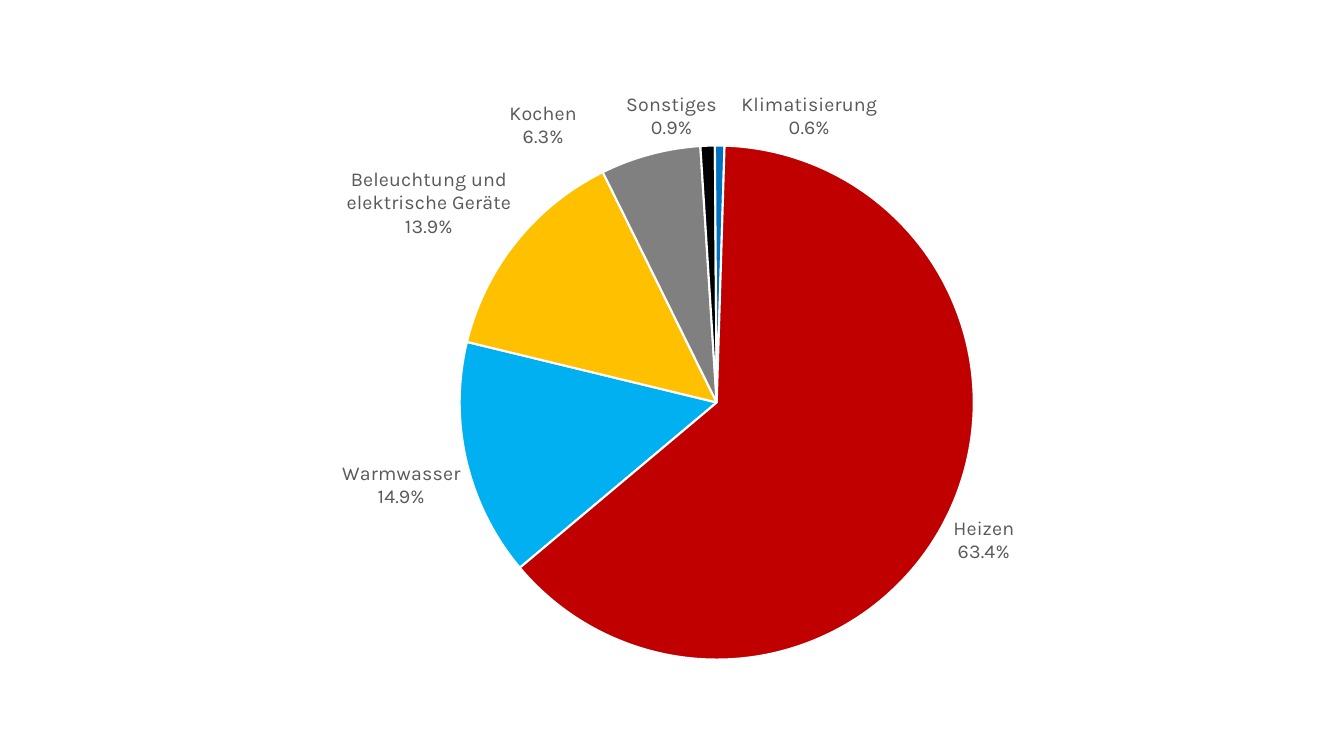
from copy import deepcopy

from lxml import etree
from pptx import Presentation
from pptx.chart.data import CategoryChartData
from pptx.dml.color import RGBColor
from pptx.enum.chart import XL_CHART_TYPE, XL_LABEL_POSITION
from pptx.oxml.ns import qn
from pptx.util import Pt

PIE = XL_CHART_TYPE.PIE
OUTSIDE = XL_LABEL_POSITION.OUTSIDE_END
FONT = "Karla"
START = 230

# Name, share in percent, colour, label shift as parts of the chart size
USES = [
    ("Warmwasser", 14.9, "00B0F0", None),
    ("Beleuchtung und elektrische Geräte", 13.9, "FFC000", None),
    ("Kochen", 6.3, "808080", (-0.08, 0)),
    ("Sonstiges", 0.9, "000000", (-0.04, 0)),
    ("Klimatisierung", 0.6, "0070C0", (0.1, 0)),
    ("Heizen", 63.4, "C00000", None),
]


def color(code):
    return RGBColor.from_string(code)


def layout(**parts):
    frame = etree.Element(qn("c:layout"))
    manual = etree.SubElement(frame, qn("c:manualLayout"))
    for key, val in parts.items():
        etree.SubElement(manual, qn("c:" + key), val=str(val))
    return frame


deck = Presentation()
deck.slide_width, deck.slide_height = Pt(960), Pt(540)
slide = deck.slides.add_slide(deck.slide_layouts[6])

# Pie chart
data = CategoryChartData()
data.categories = [use[0] for use in USES]
data.add_series("Series 1", [use[1] for use in USES])
chart = slide.shapes.add_chart(
    PIE, Pt(160), Pt(57), Pt(640), Pt(427), data).chart
chart.has_legend = False
chart.has_title = False
chart.font.name = FONT
chart.font.size = Pt(14)
chart.font.color.rgb = color("000000")
plot = chart.plots[0]
plot.vary_by_categories = True

# Place of the pie and angle of its first slice
area = plot._element.getparent()
for old in area.findall(qn("c:layout")):
    area.remove(old)
area.insert(0, layout(layoutTarget="inner", xMode="edge", yMode="edge",
                      x=0.26, y=0.11, w=0.58, h=0.86))
for old in plot._element.findall(qn("c:firstSliceAng")):
    plot._element.remove(old)
etree.SubElement(plot._element, qn("c:firstSliceAng"), val=str(START))

# Slices
row = plot.series[0]
for num, use in enumerate(USES):
    slice_ = row.points[num].format
    slice_.fill.solid()
    slice_.fill.fore_color.rgb = color(use[2])
    slice_.line.color.rgb = color("FFFFFF")
    slice_.line.width = Pt(1.5)

# Labels
labels = row.data_labels
labels.show_category_name = True
labels.show_percentage = True
labels.show_value = False
labels.number_format = "0.0%"
labels.number_format_is_linked = False
labels.position = OUTSIDE
labels.font.name = FONT
labels.font.size = Pt(14)
labels.font.color.rgb = color("595959")
root = labels._element
for old in root.findall(qn("c:showLeaderLines")):
    root.remove(old)
etree.SubElement(root, qn("c:separator")).text = "\n"
shared = list(root)
etree.SubElement(root, qn("c:showLeaderLines"), val="0")

# Shifted labels of the small slices
spot = 0
for num, use in enumerate(USES):
    if use[3]:
        label = etree.Element(qn("c:dLbl"))
        etree.SubElement(label, qn("c:idx"), val=str(num))
        label.append(layout(x=use[3][0], y=use[3][1]))
        label.extend(deepcopy(shared))
        root.insert(spot, label)
        spot += 1

deck.save("out.pptx")
